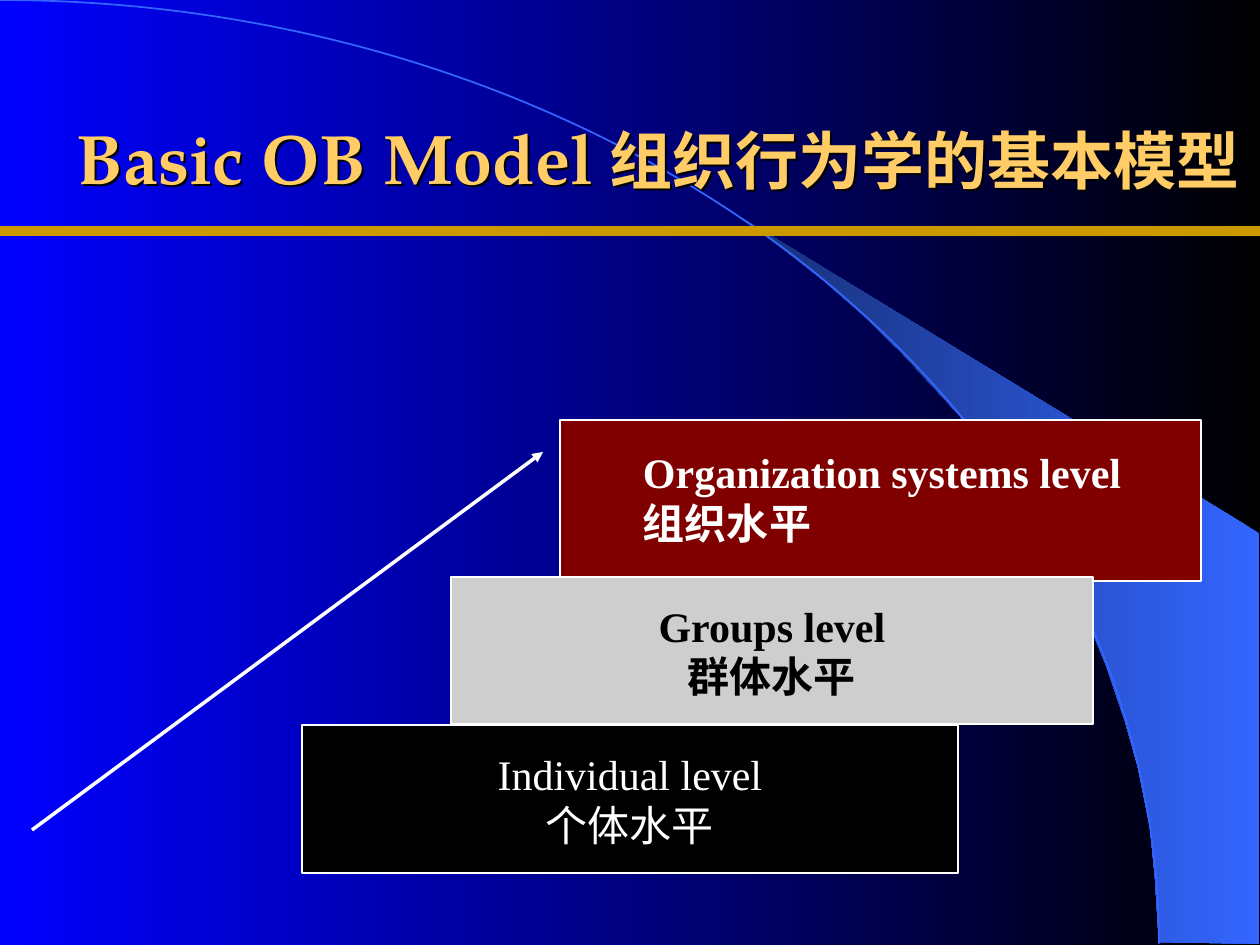
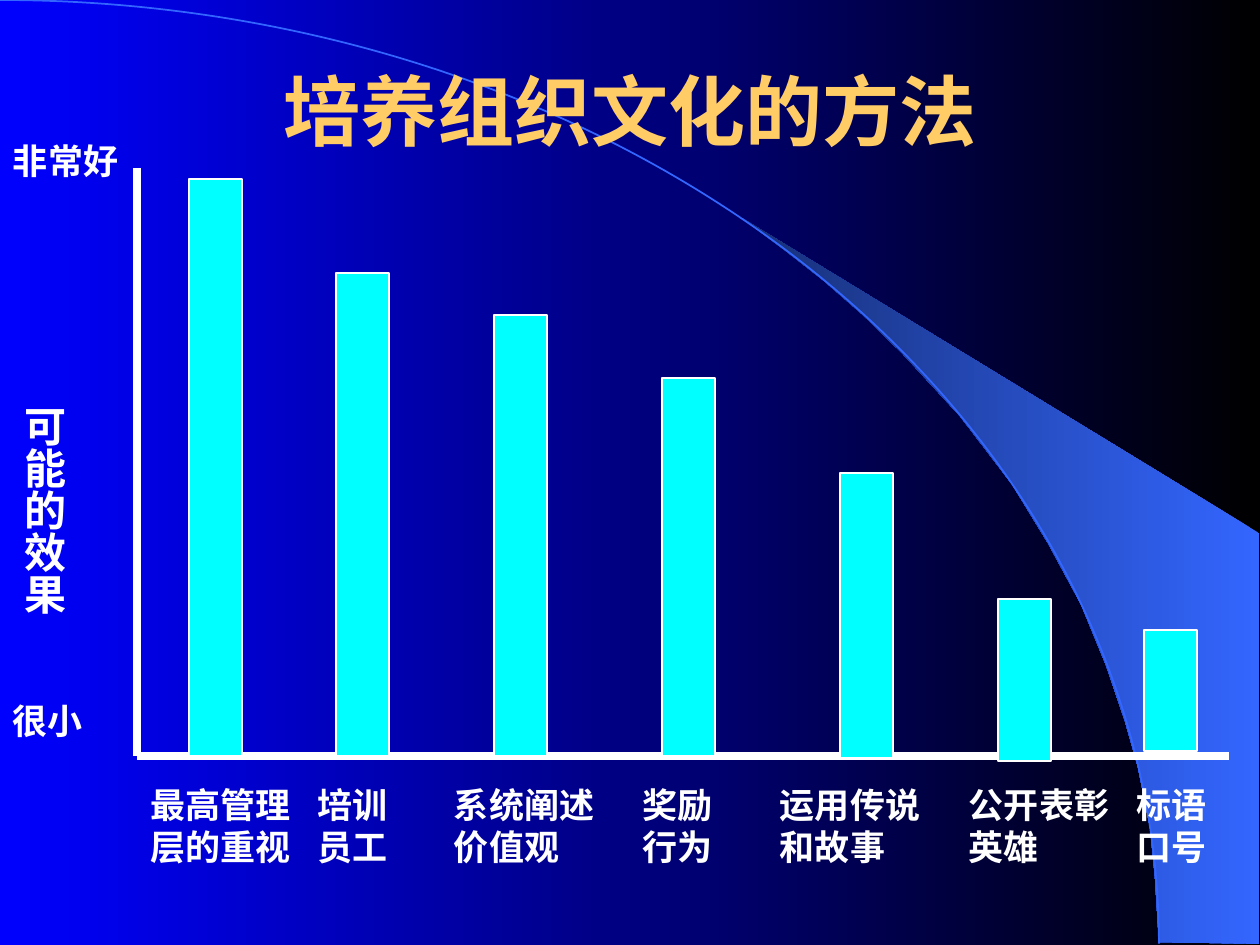
from lxml import etree
from pptx import Presentation
from pptx.dml.color import RGBColor
from pptx.enum.shapes import MSO_CONNECTOR, MSO_SHAPE
from pptx.enum.text import MSO_ANCHOR, PP_ALIGN
from pptx.oxml.ns import qn
from pptx.util import Inches, Pt

PX = 7257  # EMU in one px, 126 px to the inch
LINE, RECT, BAR = MSO_CONNECTOR.STRAIGHT, MSO_SHAPE.RECTANGLE, MSO_SHAPE.FLOWCHART_PROCESS
ARC = MSO_SHAPE.ARC
LEFT, CENTER = PP_ALIGN.LEFT, PP_ALIGN.CENTER
TOP, MIDDLE, BOTTOM = MSO_ANCHOR.TOP, MSO_ANCHOR.MIDDLE, MSO_ANCHOR.BOTTOM
WHITE, BLACK, BLUE, GOLD = "FFFFFF", "000000", "3366FF", "FFCC66"
SERIF, TITLE_FONT = "Times New Roman", "TeX Gyre Pagella"


def hx(color):
    return RGBColor.from_string(color)


def write(sp, paragraphs, size=20, color=WHITE, bold=True, font=SERIF,
          align=LEFT, anchor=TOP, wrap=True, insets=(13, 6)):
    """Fill a shape with paragraphs; a paragraph is a list of (text, size) or a string."""
    tf = sp.text_frame
    side, end = (n * PX for n in insets)
    frame = {"word_wrap": wrap, "vertical_anchor": anchor, "margin_left": side,
             "margin_right": side, "margin_top": end, "margin_bottom": end}
    for name, value in frame.items():
        setattr(tf, name, value)
    for i, runs in enumerate(paragraphs):
        p = tf.paragraphs[0] if i == 0 else tf.add_paragraph()
        p.alignment = align
        for text, run_size in [(runs, size)] if isinstance(runs, str) else runs:
            r = p.add_run()
            r.text = text
            for name, value in {"size": Pt(run_size), "bold": bold, "name": font}.items():
                setattr(r.font, name, value)
            r.font.color.rgb = hx(color)


prs = Presentation()
prs.slide_width, prs.slide_height = Inches(10), Inches(7.5)
model, culture = slides = [prs.slides.add_slide(prs.slide_layouts[6]) for _ in range(2)]

# Shared backdrop: gradient, wedge and quarter ellipse
wedge_points = [(1259, 944), (1259, 533), (742, 218), (786, 251), (823, 280), (863, 315),
                (902, 353), (960, 416), (1012, 484), (1048, 543), (1081, 604), (1106, 665),
                (1125, 721), (1138, 767), (1150, 827), (1155, 877), (1159, 942)]
for s in slides:
    builder = s.shapes.build_freeform(1159, 942, scale=PX)
    builder.add_line_segments(wedge_points)
    wedge = builder.convert_to_shape()
    wedge.line.fill.background()
    wedge.shadow.inherit = False
    for fill, colors in ((s.background.fill, (BLACK, "0000FF")), (wedge.fill, (BLUE, "172F75"))):
        fill.gradient()
        fill.gradient_angle = 180
        for stop, color, position in zip(fill.gradient_stops, colors, (0, 1)):
            stop.color.rgb = hx(color)
            stop.position = position
    arc = s.shapes.add_shape(ARC, -1159 * PX, 0, 2318 * PX, 1887 * PX)
    arc.fill.background()
    arc.line.color.rgb = hx(BLUE)
    arc.line.width = Pt(1)
    arc.shadow.inherit = False

# Titles
titles = [
    (model, (64, 92, 1220, 113), [[("Basic OB Model", 40), (" 组织行为学的基本模型", 36)]],
     {"font": TITLE_FONT, "anchor": BOTTOM}),
    (culture, (95, 31, 1071, 158), ["培养组织文化的方法"],
     {"size": 44, "font": "Arial", "anchor": MIDDLE, "align": CENTER}),
]
for s, box, paragraphs, style in titles:
    sp = s.shapes.add_textbox(*(n * PX for n in box))
    write(sp, paragraphs, color=GOLD, **style)
    if s is model:
        effects = etree.SubElement(sp._element.spPr, qn("a:effectLst"))
        shadow = etree.SubElement(effects, qn("a:outerShdw"), dist="17961", dir="2700000")
        etree.SubElement(shadow, qn("a:srgbClr"), val=BLACK)

# Lines: start, end, colour, points, arrowhead
lines = [
    (model, (32, 830, 543, 452), WHITE, 2, True),
    (model, (0, 231, 1260, 231), "CC9900", 5.25, False),
    (culture, (137, 756, 1229, 756), WHITE, 4.5, False),
    (culture, (137, 168, 137, 756), WHITE, 4.5, False),
]
for s, ends, color, width, arrow in lines:
    c = s.shapes.add_connector(LINE, *(n * PX for n in ends))
    c.line.color.rgb = hx(color)
    c.line.width = Pt(width)
    if arrow:
        etree.SubElement(c.line._get_or_add_ln(), qn("a:tailEnd"), type="triangle")
    etree.SubElement(c._element.spPr, qn("a:effectLst"))

# Steps of the model and bars of the effect chart
steps = [(560, 420, 641, 161, "800000"), (451, 577, 642, 147, "CECECE"),
         (302, 725, 656, 148, BLACK)]
bars = [(189, 179, 756), (336, 273, 756), (494, 315, 756), (662, 378, 756),
        (840, 473, 758), (998, 599, 761), (1144, 630, 751)]
boxes = [(model, RECT, 1, step) for step in steps]
boxes += [(culture, BAR, 0.75, (x, top, 53, base - top, "00FFFF")) for x, top, base in bars]
drawn = []
for s, kind, width, (*box, color) in boxes:
    sp = s.shapes.add_shape(kind, *(n * PX for n in box))
    sp.fill.solid()
    sp.fill.fore_color.rgb = hx(color)
    sp.line.color.rgb = hx(WHITE)
    sp.line.width = Pt(width)
    sp.shadow.inherit = False
    drawn.append(sp)

# Step labels
centred = {"size": 24, "align": CENTER, "anchor": MIDDLE}
write(drawn[1], ["Groups level", "群体水平"], color=BLACK, **centred)
write(drawn[2], ["Individual level", "个体水平"], bold=False, **centred)
sp = model.shapes.add_textbox(630 * PX, 441 * PX, 536 * PX, 113 * PX)
write(sp, ["Organization systems level", "组织水平"], size=24)

# Labels under the bars and at the ends of the value axis
labels = [
    (137, 777, "最高管理", "层的重视"), (305, 777, "培训", "员工"),
    (441, 777, "系统阐述", "价值观"), (630, 777, "奖励", "行为"),
    (767, 777, "运用传说", "和故事"), (956, 777, "公开表彰", "英雄"),
    (1124, 777, "标语", "口号"), (0, 133, "非常好"), (0, 693, "很小"),
]
for x, y, *rows in labels:
    width = 30 + 35 * max(len(row) for row in rows)
    sp = culture.shapes.add_textbox(x * PX, y * PX, width * PX, (13 + 42 * len(rows)) * PX)
    write(sp, rows)

# Vertical axis title
sp = culture.shapes.add_textbox(0, 393 * PX, 75 * PX, 240 * PX)
write(sp, ["可能的效果"], size=24, insets=(6, 13))
sp.text_frame._txBody.bodyPr.set("vert", "eaVert")

prs.save("out.pptx")
